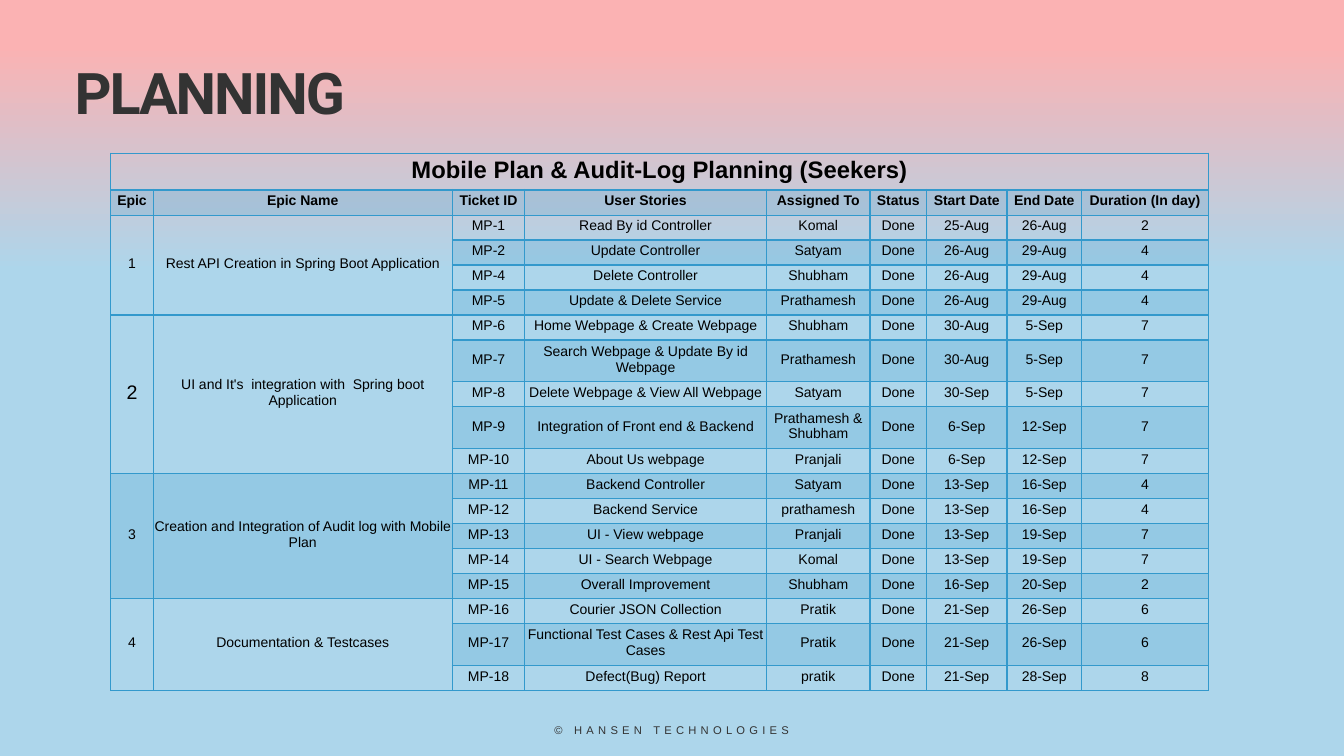
from dataclasses import dataclass

from lxml.etree import SubElement
from pptx import Presentation
from pptx.dml.color import RGBColor as RGB
from pptx.enum.text import MSO_ANCHOR as ANCHOR, PP_ALIGN as ALIGN
from pptx.oxml import parse_xml
from pptx.oxml.ns import nsdecls, qn
from pptx.util import Inches, Pt


@dataclass(frozen=True)
class Theme:
    sky: str = "ADD6EB"
    rose: str = "FBB2B3"
    ink: str = "333333"
    cell_ink: str = "000000"
    line: str = "3399CC"
    band_alpha: int = 20
    head_font: str = "Roboto"
    body_font: str = "Arial"
    title_size: int = 41
    caption_size: int = 17
    epic_size: int = 14
    cell_size: int = 10
    footer_size: int = 8


THEME = Theme()

# Grid of 160 columns by 90 rows; boxes are left, top, width, height
SLIDE_W, SLIDE_H = Inches(13.33), Inches(7.5)
COL, ROW = SLIDE_W / 160, SLIDE_H / 90
TITLE_BOX = (7.68, 6.84, 144.12, 9.12)
TABLE_BOX = (13.2, 18.24, 130.68, 63.96)
FOOTER_BOX = (39.6, 85.8, 80.76, 2.28)

# Relative column widths and row heights
COL_WEIGHTS = (0.42, 2.97, 0.72, 2.4, 1.03, 0.56, 0.8, 0.74, 1.26)
CAPTION_WEIGHT, LINE_WEIGHT, TWO_LINE_WEIGHT = 0.37, 0.25, 0.42
TWO_LINE_TICKETS = ("MP-7", "MP-9", "MP-17")

CAPTION = "Mobile Plan & Audit-Log Planning (Seekers)"
HEADERS = ("Epic", "Epic Name", "Ticket ID", "User Stories", "Assigned To",
           "Status", "Start Date", "End Date", "Duration (In day)")
STATUS = "Done"

# Epic name, then tickets: id, story, assignee, start, end, days
EPICS = [
    ("Rest API Creation in Spring Boot Application", [
        ("MP-1", "Read By id Controller", "Komal", "25-Aug", "26-Aug", 2),
        ("MP-2", "Update Controller", "Satyam", "26-Aug", "29-Aug", 4),
        ("MP-4", "Delete Controller", "Shubham", "26-Aug", "29-Aug", 4),
        ("MP-5", "Update & Delete Service", "Prathamesh", "26-Aug", "29-Aug", 4),
    ]),
    ("UI and It's  integration with  Spring boot Application", [
        ("MP-6", "Home Webpage & Create Webpage", "Shubham", "30-Aug", "5-Sep", 7),
        ("MP-7", "Search Webpage & Update By id Webpage", "Prathamesh", "30-Aug", "5-Sep", 7),
        ("MP-8", "Delete Webpage & View All Webpage", "Satyam", "30-Sep", "5-Sep", 7),
        ("MP-9", "Integration of Front end & Backend", "Prathamesh & Shubham",
         "6-Sep", "12-Sep", 7),
        ("MP-10", "About Us webpage", "Pranjali", "6-Sep", "12-Sep", 7),
    ]),
    ("Creation and Integration of Audit log with Mobile Plan", [
        ("MP-11", "Backend Controller", "Satyam", "13-Sep", "16-Sep", 4),
        ("MP-12", "Backend Service", "prathamesh", "13-Sep", "16-Sep", 4),
        ("MP-13", "UI - View webpage", "Pranjali", "13-Sep", "19-Sep", 7),
        ("MP-14", "UI - Search Webpage", "Komal", "13-Sep", "19-Sep", 7),
        ("MP-15", "Overall Improvement", "Shubham", "16-Sep", "20-Sep", 2),
    ]),
    ("Documentation & Testcases", [
        ("MP-16", "Courier JSON Collection", "Pratik", "21-Sep", "26-Sep", 6),
        ("MP-17", "Functional Test Cases & Rest Api Test Cases", "Pratik",
         "21-Sep", "26-Sep", 6),
        ("MP-18", "Defect(Bug) Report", "pratik", "21-Sep", "28-Sep", 8),
    ]),
]


def place(box):
    """Turn a grid box into slide lengths."""
    x, y, w, h = box
    return round(x * COL), round(y * ROW), round(w * COL), round(h * ROW)


def set_all(obj, values):
    for name, value in values.items():
        setattr(obj, name, value)


def write(p, text, size, font, color, bold=False, spacing=0, align=ALIGN.CENTER):
    p.alignment = align
    r = p.add_run()
    r.text = text
    set_all(r.font, {"size": Pt(size), "name": font, "bold": bold})
    r.font.color.rgb = RGB.from_string(color)
    if spacing:
        r._r.get_or_add_rPr().set("spc", str(round(spacing * 100)))


def paint_background(s):
    fill = s.background.fill
    fill.gradient()
    fill.gradient_angle = 270
    stops = ((0.06, THEME.rose), (0.36, THEME.sky))
    for stop, (position, color) in zip(fill.gradient_stops, stops):
        stop.position = position
        stop.color.rgb = RGB.from_string(color)


def add_title(s, box):
    sp = s.shapes.title
    set_all(sp, dict(zip(("left", "top", "width", "height"), place(box))))
    tf = sp.text_frame
    set_all(tf, {"vertical_anchor": ANCHOR.MIDDLE, "word_wrap": True})
    p = tf.paragraphs[0]
    p.line_spacing = 0.9
    write(p, "PLANNING", THEME.title_size, THEME.head_font, THEME.ink,
          bold=True, spacing=-1.5, align=ALIGN.LEFT)


def add_footer(s, box):
    tf = s.shapes.add_textbox(*place(box)).text_frame
    set_all(tf, {"word_wrap": True, "vertical_anchor": ANCHOR.MIDDLE, "margin_left": 0,
                 "margin_right": 0, "margin_top": 0, "margin_bottom": 0})
    write(tf.paragraphs[0], "© HANSEN TECHNOLOGIES", THEME.footer_size,
          THEME.body_font, THEME.ink, spacing=3)


def style_cell(cell, row):
    """Margins, band fill and borders of one cell."""
    set_all(cell, {"vertical_anchor": ANCHOR.MIDDLE, "margin_left": 0, "margin_right": 0,
                   "margin_top": 0, "margin_bottom": Inches(0.03)})
    tcPr = cell._tc.get_or_add_tcPr()
    if row % 2:
        cell.fill.solid()
        cell.fill.fore_color.rgb = RGB.from_string(THEME.line)
        color = tcPr.find(qn("a:solidFill"))[0]
        SubElement(color, qn("a:alpha")).set("val", str(THEME.band_alpha * 1000))
    else:
        cell.fill.background()
    for i, side in enumerate("LRTB"):
        under_caption = (row, side) in ((0, "B"), (1, "T"))
        width = Pt(2 if under_caption else 1)
        tcPr.insert(i, parse_xml(
            f'<a:ln{side} {nsdecls("a")} w="{width}"><a:solidFill>'
            f'<a:srgbClr val="{THEME.line}"/></a:solidFill></a:ln{side}>'))


def add_plan_table(s, box):
    x, y, w, h = place(box)
    tickets = [t for _, group in EPICS for t in group]
    row_weights = [CAPTION_WEIGHT, LINE_WEIGHT] + [
        TWO_LINE_WEIGHT if t[0] in TWO_LINE_TICKETS else LINE_WEIGHT for t in tickets]
    table = s.shapes.add_table(len(row_weights), len(COL_WEIGHTS), x, y, w, h).table
    set_all(table, {"first_row": False, "horz_banding": False})
    for column, weight in zip(table.columns, COL_WEIGHTS):
        column.width = round(w * weight / sum(COL_WEIGHTS))
    for i, (row, weight) in enumerate(zip(table.rows, row_weights)):
        row.height = round(h * weight / sum(row_weights))
        for cell in row.cells:
            style_cell(cell, i)

    def put(row, col, text, size=THEME.cell_size, bold=False):
        p = table.cell(row, col).text_frame.paragraphs[0]
        write(p, str(text), size, THEME.body_font, THEME.cell_ink, bold)

    # Caption and header rows
    table.cell(0, 0).merge(table.cell(0, len(HEADERS) - 1))
    put(0, 0, CAPTION, THEME.caption_size, bold=True)
    for col, header in enumerate(HEADERS):
        put(1, col, header, bold=True)

    # Epics, each spanning its tickets
    row = 2
    for number, (name, group) in enumerate(EPICS, 1):
        for col in (0, 1):
            table.cell(row, col).merge(table.cell(row + len(group) - 1, col))
        put(row, 0, number, THEME.epic_size if number == 2 else THEME.cell_size)
        put(row, 1, name)
        for ticket, story, person, start, end, days in group:
            values = (ticket, story, person, STATUS, start, end, days)
            for col, value in enumerate(values, 2):
                put(row, col, value)
            row += 1


def main():
    prs = Presentation()
    set_all(prs, {"slide_width": SLIDE_W, "slide_height": SLIDE_H})
    s = prs.slides.add_slide(prs.slide_layouts[5])
    paint_background(s)
    add_footer(s, FOOTER_BOX)
    add_title(s, TITLE_BOX)
    add_plan_table(s, TABLE_BOX)
    prs.save("out.pptx")


if __name__ == "__main__":
    main()
